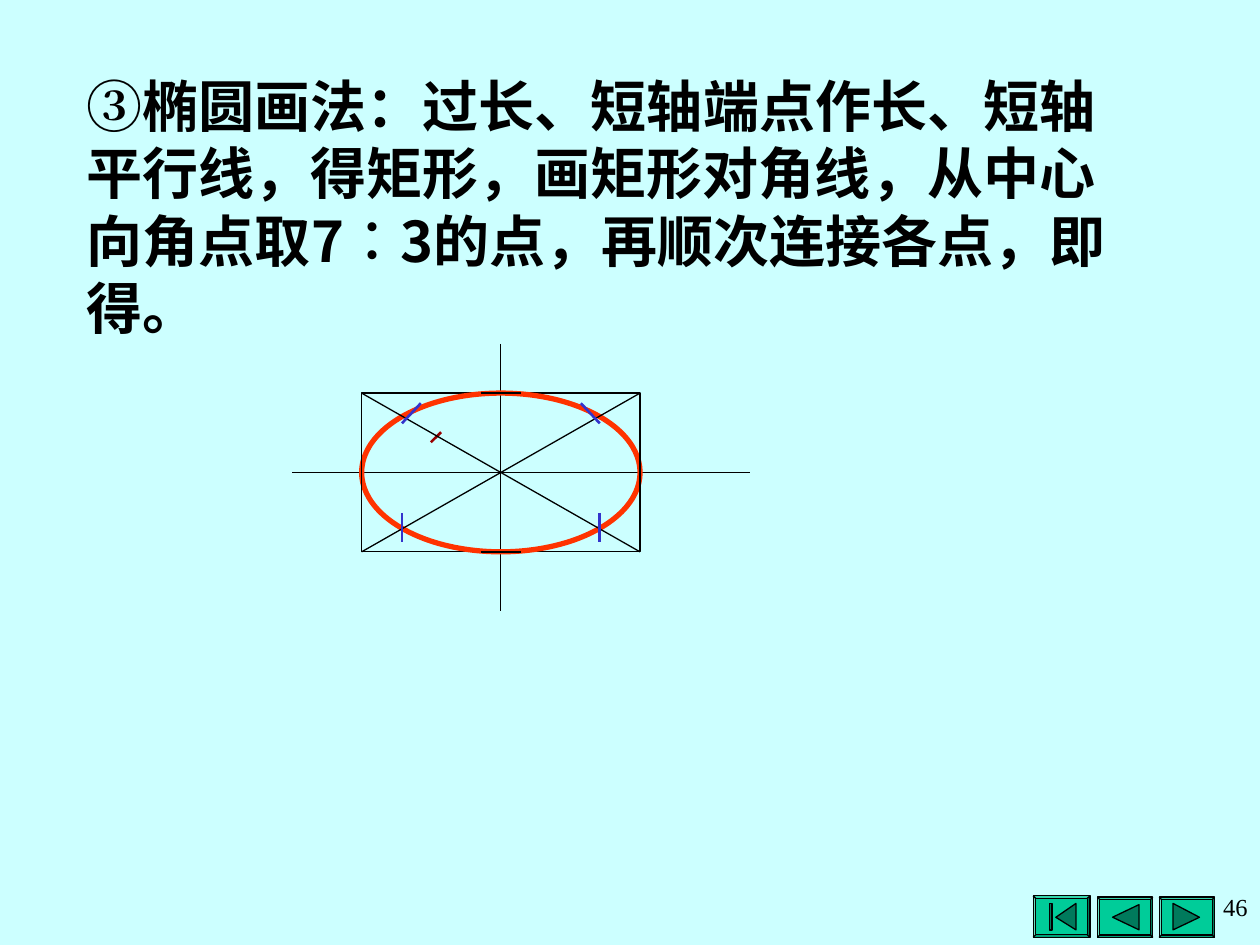
import pptx
import pptx.util
import pptx.dml.color
import pptx.enum.shapes
import pptx.enum.text
import pptx.oxml
import pptx.oxml.ns
from lxml import etree

Inches, Pt = pptx.util.Inches, pptx.util.Pt
SHAPE = pptx.enum.shapes.MSO_SHAPE
COLORS = {
    "bg": "CCFFFF", "ink": "000000", "ellipse": "FF3300", "mark": "3333CC",
    "tick": "990000", "button": "00CC99", "icon": "007A5C",
}
SERIF, SANS = "Times New Roman", "Noto Sans CJK SC"


def rgb(name):
    return pptx.dml.color.RGBColor.from_string(COLORS[name])


def style(sp, fill=None, line="ink", width=0.75):
    sp.shadow.inherit = False
    if fill:
        sp.fill.solid()
        sp.fill.fore_color.rgb = rgb(fill)
    else:
        sp.fill.background()
    sp.line.color.rgb = rgb(line)
    sp.line.width = Pt(width)


def add_line(s, x1, y1, x2, y2, color="ink", width=0.75):
    ln = s.shapes.add_connector(
        pptx.enum.shapes.MSO_CONNECTOR.STRAIGHT,
        Inches(x1), Inches(y1), Inches(x2), Inches(y2))
    ln.line.color.rgb = rgb(color)
    ln.line.width = Pt(width)
    etree.SubElement(ln._element.spPr, pptx.oxml.ns.qn("a:effectLst"))


def add_text(s, box, runs, size, bold=False, align=None):
    """Place one paragraph of (text, font name) runs in the box."""
    tb = s.shapes.add_textbox(*map(Inches, box))
    tf = tb.text_frame
    tf.word_wrap = True
    p = tf.paragraphs[0]
    p.alignment = align
    for text, face in runs:
        r = p.add_run()
        r.text = text
        r.font.name = face
        r.font.size = Pt(size)
        r.font.bold = bold
        r.font.color.rgb = rgb("ink")
        ea = etree.SubElement(r._r.get_or_add_rPr(), pptx.oxml.ns.qn("a:ea"))
        ea.set("typeface", face)


def add_ellipse_figure(s, x, y, w, h):
    """Draw the ellipse in its rectangle, with axes, diagonals and marks."""
    right, bottom = x + w, y + h
    cx, cy = x + w / 2, y + h / 2
    box = [Inches(v) for v in (x, y, w, h)]

    add_line(s, x - 0.55, cy, right + 0.87, cy)
    add_line(s, cx, y - 0.39, cx, bottom + 0.47)
    style(s.shapes.add_shape(SHAPE.RECTANGLE, *box))
    add_line(s, x + 0.63, y + 0.31, x + 0.55, y + 0.39, "tick", 1.5)
    style(s.shapes.add_shape(SHAPE.OVAL, *box), line="ellipse", width=3)
    add_line(s, x, y, right, bottom)
    add_line(s, x, bottom, right, y)

    for edge, inward in ((x, 1), (right, -1)):
        mark = edge + inward * 0.32
        add_line(s, mark, y + 0.24, mark + inward * 0.15, y + 0.08, "mark", 1.5)
        add_line(s, mark, bottom - 0.31, mark, bottom - 0.08, "mark", 1.5)
        add_line(s, edge, cy - 0.16, edge, cy + 0.16)
    for edge in (y, bottom):
        add_line(s, cx - 0.16, edge, cx + 0.16, edge)


def add_button(s, x, y, w, h, icons):
    """Draw a bevelled button with icon outlines relative to its corner."""
    sp = s.shapes.add_shape(SHAPE.BEVEL, *map(Inches, (x, y, w, h)))
    sp.adjustments[0] = 0.06
    style(sp, "button")
    for points in icons:
        outline = [(Inches(x + dx), Inches(y + dy)) for dx, dy in points]
        fb = s.shapes.build_freeform(*outline[0])
        fb.add_line_segments(outline[1:], close=True)
        style(fb.convert_to_shape(), "icon")


def add_navigation(s, x, y):
    first = [[(0.18, 0.17), (0.34, 0.06), (0.34, 0.27)],
             [(0.13, 0.06), (0.15, 0.06), (0.15, 0.27), (0.13, 0.27)]]
    back = [[(0.12, 0.16), (0.33, 0.06), (0.33, 0.26)]]
    forward = [[(0.11, 0.05), (0.32, 0.16), (0.11, 0.26)]]
    add_button(s, x + 1.0, y + 0.01, 0.44, 0.32, forward)
    add_button(s, x + 0.51, y + 0.01, 0.44, 0.32, back)
    add_button(s, x, y, 0.45, 0.33, first)


def main():
    prs = pptx.Presentation()
    prs.slide_width, prs.slide_height = Inches(10), Inches(7.5)
    s = prs.slides.add_slide(prs.slide_layouts[6])
    s.background.fill.solid()
    s.background.fill.fore_color.rgb = rgb("bg")

    add_navigation(s, 8.2, 7.11)
    add_ellipse_figure(s, 2.87, 3.12, 2.21, 1.26)
    add_text(s, (0.59, 0.52, 8.35, 2.24), [
        ("③", SERIF),
        ("椭圆画法：过长、短轴端点作长、短轴平行线，得矩形，画矩形对角线，"
         "从中心向角点取7︰3的点，再顺次连接各点，即得。", SANS),
    ], 32, bold=True)
    add_text(s, (7.48, 7.03, 2.52, 0.61), [("46", SERIF)], 14,
             align=pptx.enum.text.PP_ALIGN.RIGHT)
    prs.save("out.pptx")


if __name__ == "__main__":
    main()
